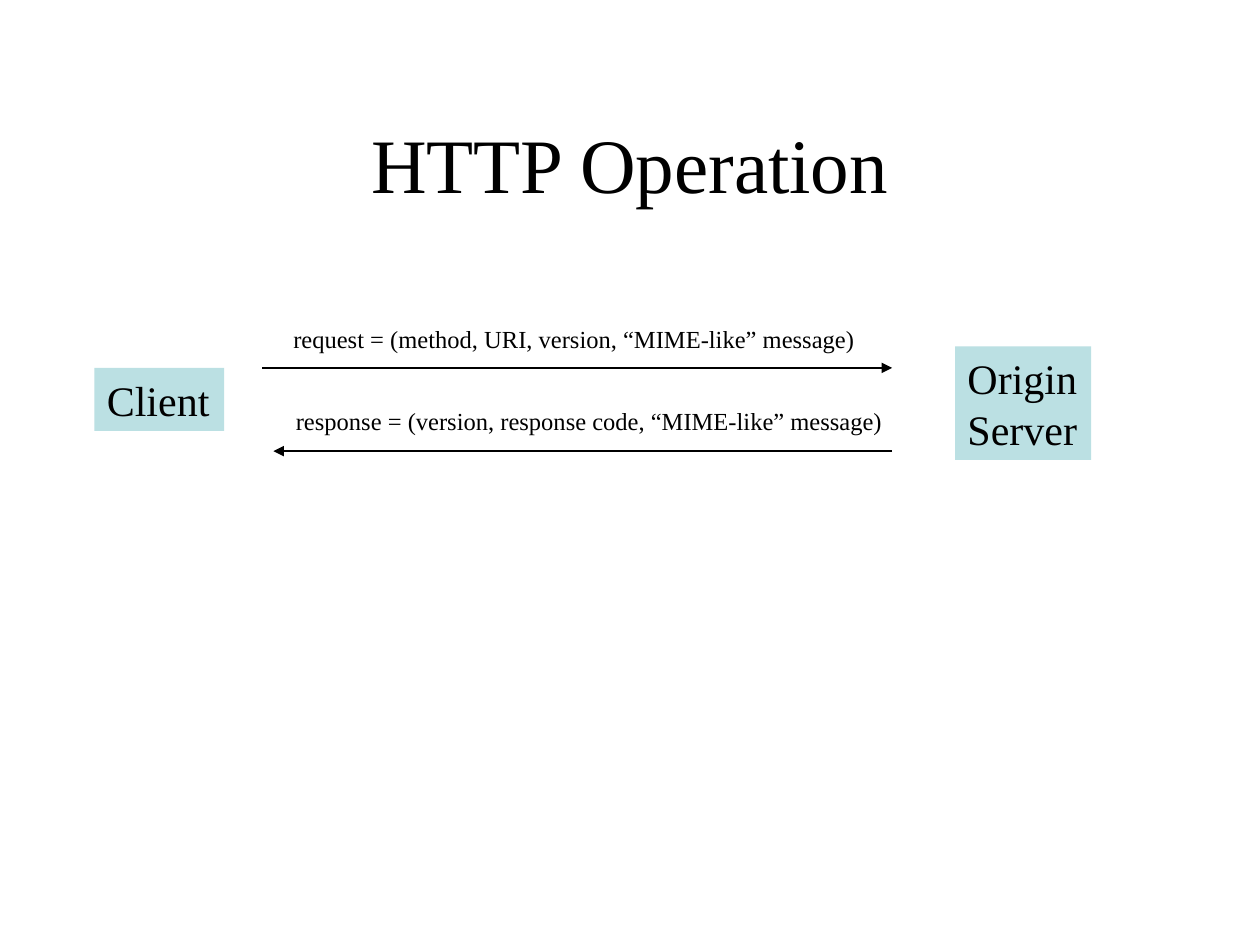
from lxml.etree import SubElement
from pptx import Presentation
from pptx.dml.color import RGBColor
from pptx.enum.shapes import MSO_CONNECTOR, MSO_SHAPE
from pptx.enum.text import MSO_ANCHOR, MSO_AUTO_SIZE, PP_ALIGN
from pptx.oxml.ns import qn
from pptx.util import Inches, Pt

# Content: positions in inches
TITLE = "HTTP Operation"
HOSTS = [  # text, (left, top, width, height)
    ("Client", (0.75, 2.92, 1.03, 0.5)),
    ("Origin\nServer", (7.58, 2.75, 1.08, 0.9)),
]
MESSAGES = [  # text, (left, top, width, height), arrow start x, end x, y
    ("request = (method, URI, version, “MIME-like” message)",
     (2.23, 2.52, 4.66, 0.34), 2.08, 7.08, 2.92),
    ("response = (version, response code, “MIME-like” message)",
     (2.25, 3.17, 4.86, 0.34), 7.08, 2.17, 3.58),
]
FONT = "Times New Roman"
BLACK, HOST_FILL = "000000", "BBE0E3"


def color(value):
    return RGBColor.from_string(value)


def write(shape, text, size, alignment=PP_ALIGN.LEFT, anchor=MSO_ANCHOR.TOP):
    frame = shape.text_frame
    frame.text = text
    frame.vertical_anchor = anchor
    for paragraph in frame.paragraphs:
        paragraph.alignment = alignment
        for run in paragraph.runs:
            run.font.name = FONT
            run.font.size = Pt(size)
            run.font.color.rgb = color(BLACK)


def fit_to_text(shape):
    shape.text_frame.word_wrap = False
    shape.text_frame.auto_size = MSO_AUTO_SIZE.SHAPE_TO_FIT_TEXT


def add_arrow(group, start, end, y):
    arrow = group.shapes.add_connector(
        MSO_CONNECTOR.STRAIGHT, Inches(start), Inches(y), Inches(end), Inches(y))
    arrow.line.color.rgb = color(BLACK)
    arrow.line.width = Pt(0.75)
    SubElement(arrow.line._get_or_add_ln(), qn("a:tailEnd"), type="triangle")
    SubElement(arrow._element.spPr, qn("a:effectLst"))


presentation = Presentation()
presentation.slide_width, presentation.slide_height = Inches(10), Inches(7.5)
slide = presentation.slides.add_slide(presentation.slide_layouts[5])

# Title
title = slide.shapes.title
title.left, title.top = Inches(0.75), Inches(0.67)
title.width, title.height = Inches(8.5), Inches(1.25)
write(title, TITLE, 44, PP_ALIGN.CENTER, MSO_ANCHOR.MIDDLE)

# Client and server
for text, box in HOSTS:
    host = slide.shapes.add_shape(MSO_SHAPE.RECTANGLE, *map(Inches, box))
    host.shadow.inherit = False
    host.fill.solid()
    host.fill.fore_color.rgb = color(HOST_FILL)
    host.line.fill.background()
    write(host, text, 24)
    fit_to_text(host)

# Messages: each arrow is grouped with its label
for text, box, start, end, y in MESSAGES:
    group = slide.shapes.add_group_shape()
    add_arrow(group, start, end, y)
    label = group.shapes.add_textbox(*map(Inches, box))
    write(label, text, 14)
    fit_to_text(label)

presentation.save("out.pptx")
